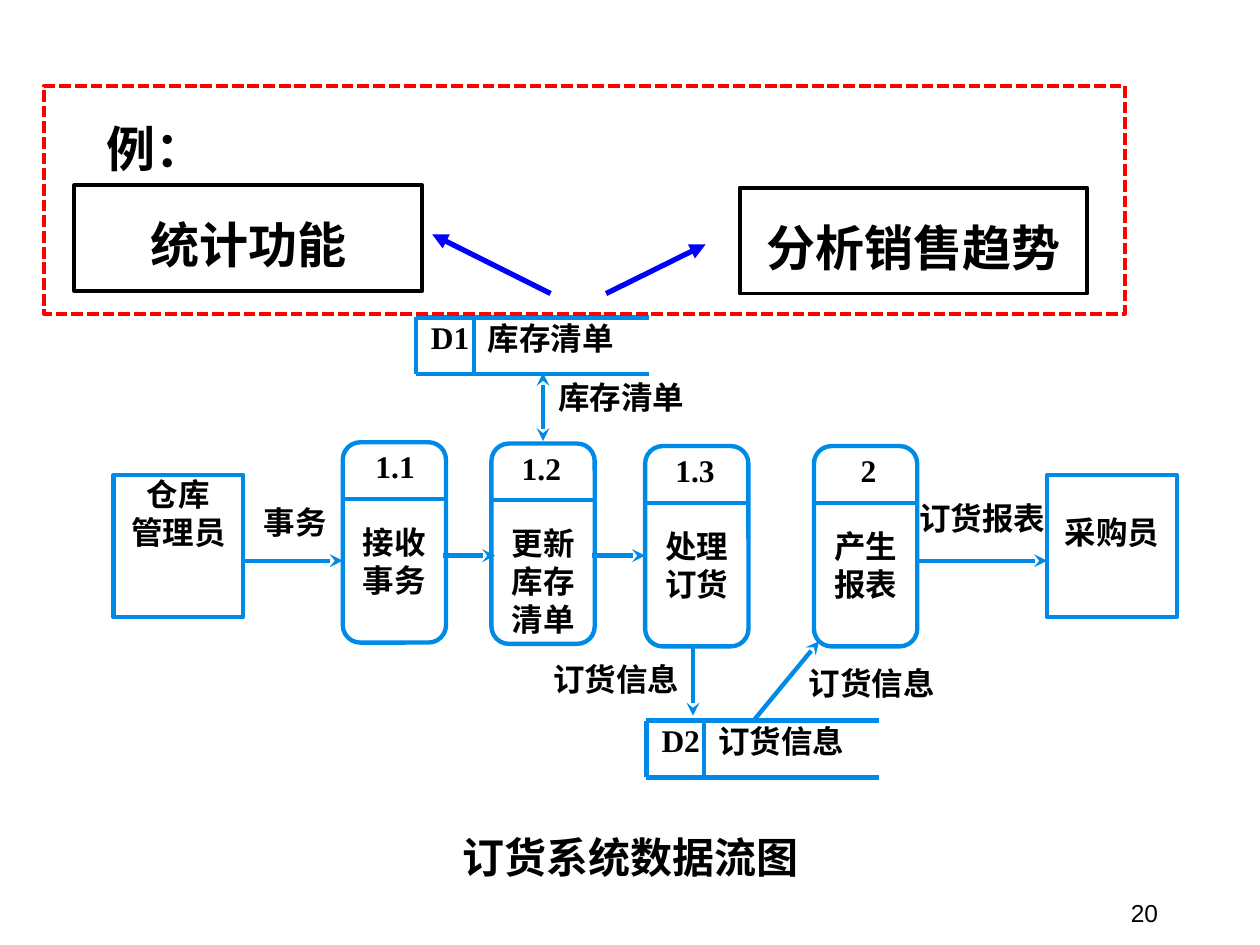
from lxml import etree
from pptx import Presentation, util as u
from pptx.dml.color import RGBColor
from pptx.enum import dml, shapes, text
from pptx.oxml import ns

BLUE, BLACK, RED, ARROW_BLUE = "008AE8", "000000", "FF0000", "0000FF"
LEFT, CENTER, RIGHT = text.PP_ALIGN.LEFT, text.PP_ALIGN.CENTER, text.PP_ALIGN.RIGHT
RECTANGLE = shapes.MSO_SHAPE.RECTANGLE
ROUNDED = shapes.MSO_SHAPE.ROUNDED_RECTANGLE

presentation = Presentation()
presentation.slide_width, presentation.slide_height = u.Inches(10), u.Inches(7.5)
slide = presentation.slides.add_slide(presentation.slide_layouts[6])
CELL = presentation.slide_width / 100  # square grid: 100 columns by 75 rows


def add_box(place, lines=(), kind=None, line=BLUE, weight=2.5, size=18,
            align=CENTER, insets=(0, 0, 0, 0), spacing=None, font="Times New Roman"):
    """Add a text box, or an unfilled outlined shape if kind is given; units are cells."""
    left, top, width, height = (int(value * CELL) for value in place)
    if kind is None:
        shape = slide.shapes.add_textbox(left, top, width, height)
    else:
        shape = slide.shapes.add_shape(kind, left, top, width, height)
        shape.shadow.inherit = False
        shape.fill.background()
        shape.line.color.rgb = RGBColor.from_string(line)
        shape.line.width = u.Pt(weight)
    frame = shape.text_frame
    frame.word_wrap = True
    frame.vertical_anchor = text.MSO_ANCHOR.TOP
    (frame.margin_left, frame.margin_top,
     frame.margin_right, frame.margin_bottom) = (int(value * CELL) for value in insets)
    for index, content in enumerate(lines):
        paragraph = frame.add_paragraph() if index else frame.paragraphs[0]
        paragraph.text = content
        paragraph.alignment = align
        paragraph.line_spacing = spacing
        paragraph.font.name = font
        paragraph.font.size = u.Pt(size)
        paragraph.font.bold = font != "Arial"
        paragraph.font.color.rgb = RGBColor.from_string(BLACK)
    return shape


def add_line(start, end, color=BLUE, weight=2.5, head=None, tail=None):
    """Add a straight line; head and tail are arrowheads at start and end."""
    points = [int(value * CELL) for value in (*start, *end)]
    connector = slide.shapes.add_connector(shapes.MSO_CONNECTOR.STRAIGHT, *points)
    connector.line.color.rgb = RGBColor.from_string(color)
    connector.line.width = u.Pt(weight)
    outline = connector.line._get_or_add_ln()
    for tag, arrow in (("a:headEnd", head), ("a:tailEnd", tail)):
        if arrow:
            etree.SubElement(outline, ns.qn(tag), type=arrow)
    etree.SubElement(connector._element.spPr, ns.qn("a:effectLst"))


# External entities
for left, lines, inset in ((9, ("仓库", "管理员"), 0), (83.1, ("采购员",), 3)):
    add_box((left, 37.7, 10.3, 11.3), lines, RECTANGLE, insets=(0, inset, 0, 0))

# Processes: number above the divider, name below
for left, top, number, number_offset, name in (
        (27.2, 35.1, "1.1", 2.6, "接收事务"), (39, 35.2, "1.2", 2.4, "更新库存清单"),
        (51.2, 35.4, "1.3", 2.4, "处理订货"), (64.6, 35.4, "2", 3.7, "产生报表")):
    process = add_box((left, top, 8.2, 15.9), (name,), ROUNDED, insets=(0, 6, 0, 0))
    process.adjustments[0] = 0.17
    add_line((left, top + 4.5), (left + 8.2, top + 4.5))
    add_box((left + number_offset, top + 0.4, 4.1, 4.5), (number,), align=LEFT)

# Data stores: open on the right
for left, top, number, name in ((33, 25.2, "D1", "库存清单"), (51.3, 57.2, "D2", "订货信息")):
    for y in (top, top + 4.5):
        add_line((left, y), (left + 18.5, y))
    for x in (left, left + 4.6):
        add_line((x, top), (x, top + 4.5))
    add_box((left + 1.2, top, 6.2, 4.5), (number,), align=LEFT)
    add_box((left + 5.7, top + 0.1, 14.4, 4.5), (name,), align=LEFT)

# Data flows
for start, end, head in (
        ((19.2, 44.5), (27.2, 44.5), None), ((72.8, 44.5), (83.1, 44.5), None),
        ((35.2, 44.1), (39.3, 44.1), None), ((47, 44.1), (51.2, 44.1), None),
        ((55, 51.4), (55, 56.8), None), ((59.8, 57.2), (65, 50.9), None),
        ((43.1, 29.6), (43.1, 35), "stealth")):
    add_line(start, end, head=head, tail="stealth")

for left, top, width, label, align in (
        (17.3, 39.9, 12.3, "事务", CENTER), (71.8, 39.6, 12.3, "订货报表", CENTER),
        (44.3, 30, 14.4, "库存清单", LEFT), (43.9, 52.4, 14.4, "订货信息", LEFT),
        (64.2, 52.7, 14.4, "订货信息", LEFT)):
    add_box((left, top, width, 4.5), (label,), align=align)

add_box((19.8, 66, 60.5, 5.4), ("订货系统数据流图",), size=24)

# Example functions built on the stock list
add_box((7.5, 6.6, 44.1, 8), ("例：",), size=28, align=LEFT,
        insets=(1, 0.5, 1, 0.5), spacing=1.5)
for left, top, name in ((58.7, 14.9, "分析销售趋势"), (5.9, 14.7, "统计功能")):
    add_box((left, top, 27.6, 8.4), (name,), RECTANGLE, BLACK, 2.25, 28,
            insets=(0, 0, 0, 0.8), spacing=1.5)
for start, end in (((48.1, 23.3), (56, 19.4)), ((43.7, 23.3), (34.3, 18.6))):
    add_line(start, end, ARROW_BLUE, 3, tail="triangle")

page_number = add_box((69.6, 68.9, 23.3, 5.2), ("20",), size=14, align=RIGHT,
                      insets=(1, 0.5, 1, 0.5), font="Arial")
page_number.text_frame.vertical_anchor = text.MSO_ANCHOR.BOTTOM

example_frame = add_box((3.5, 6.8, 85.8, 18.1), (), RECTANGLE, RED, 2.25)
example_frame.line.dash_style = dml.MSO_LINE.SQUARE_DOT

presentation.save("out.pptx")
